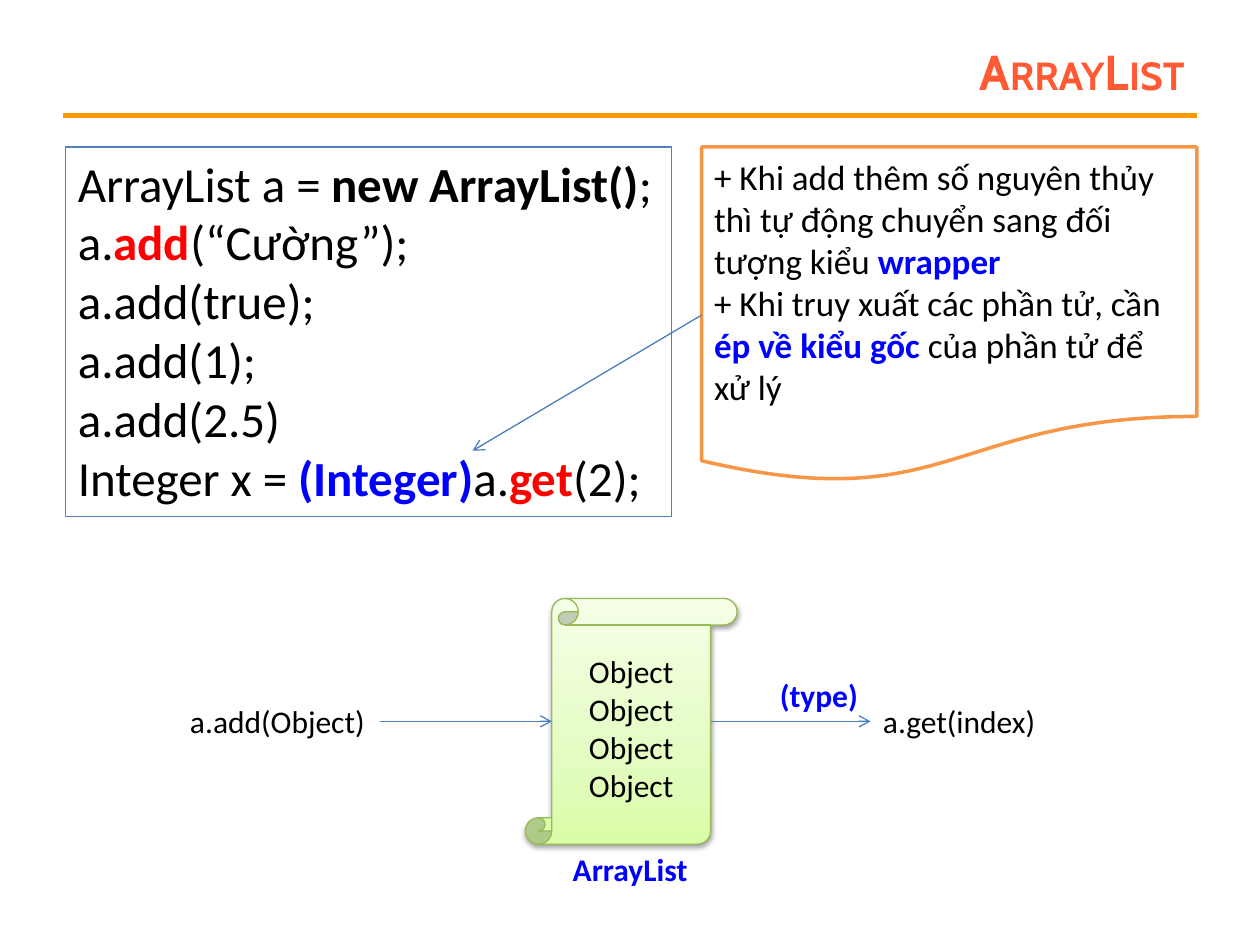
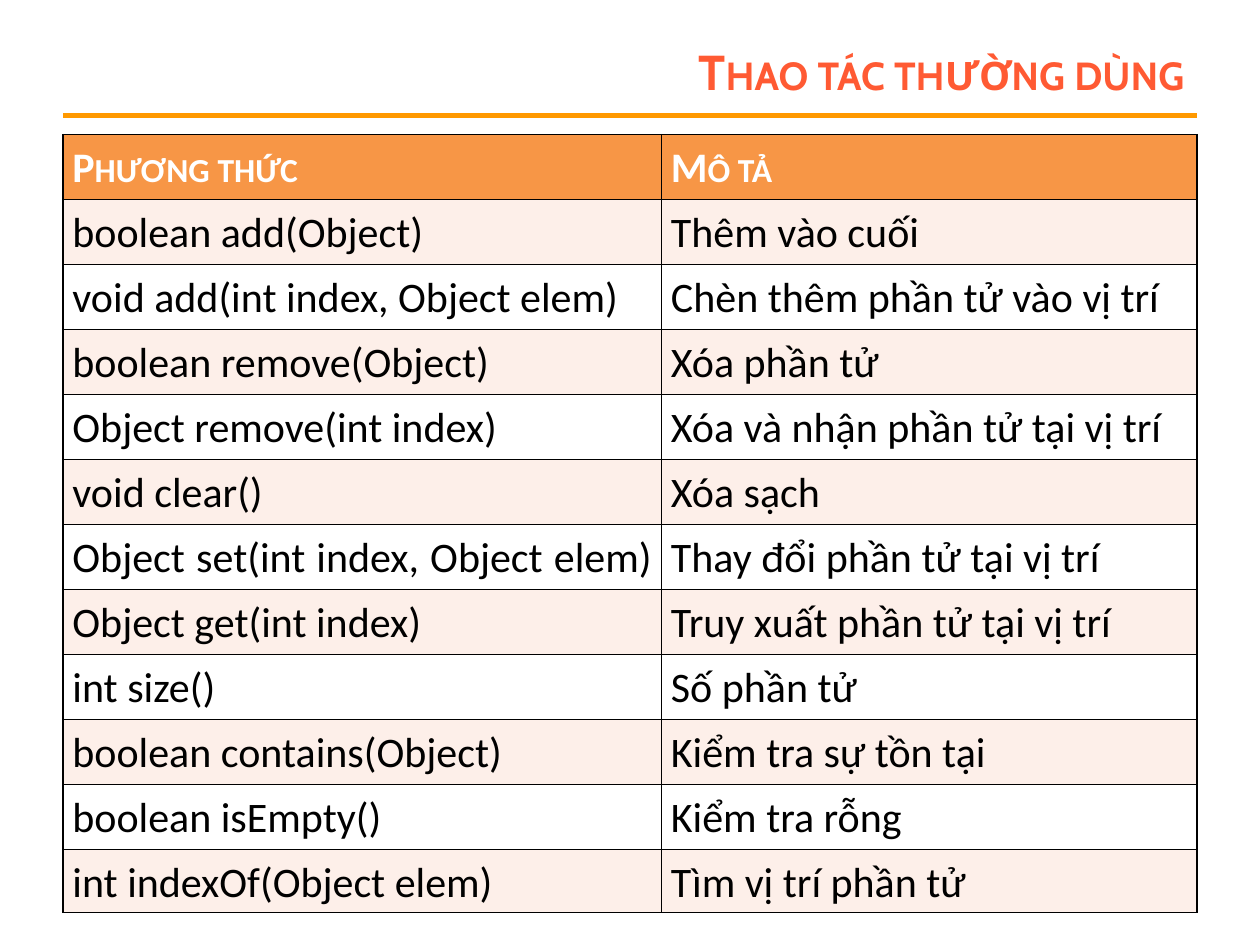
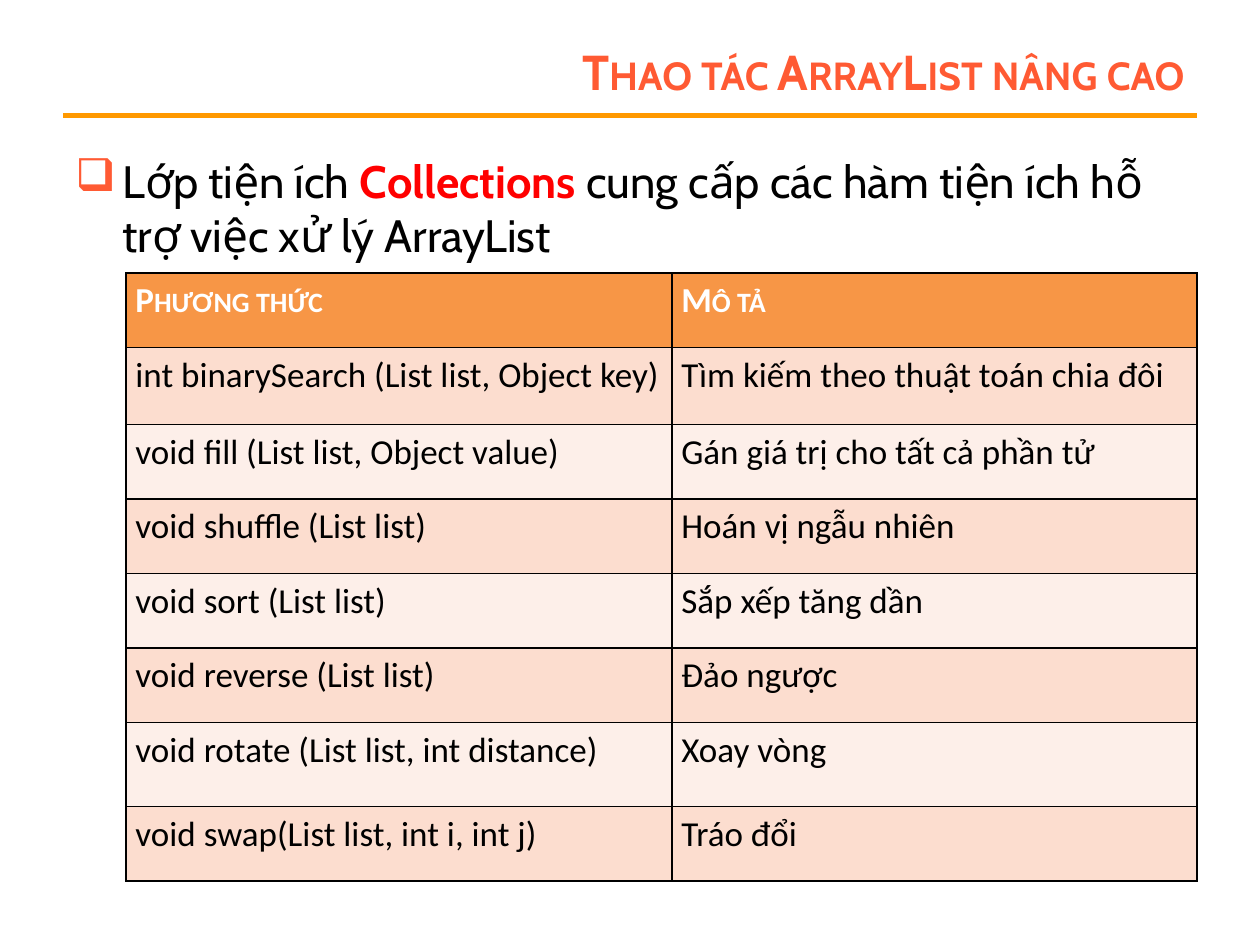
from copy import deepcopy

from lxml import etree
from pptx import Presentation
from pptx.dml.color import RGBColor
from pptx.enum.shapes import MSO_CONNECTOR, MSO_SHAPE
from pptx.enum.text import MSO_ANCHOR, PP_ALIGN
from pptx.oxml.ns import qn
from pptx.util import Pt

STRAIGHT = MSO_CONNECTOR.STRAIGHT
RECTANGLE = MSO_SHAPE.RECTANGLE
SCROLL = MSO_SHAPE.VERTICAL_SCROLL
DOCUMENT = MSO_SHAPE.FLOWCHART_DOCUMENT
TOP, MIDDLE = MSO_ANCHOR.TOP, MSO_ANCHOR.MIDDLE
LEFT, CENTER, RIGHT = PP_ALIGN.LEFT, PP_ALIGN.CENTER, PP_ALIGN.RIGHT
JUSTIFY = PP_ALIGN.JUSTIFY
LEFT_SIDE, RIGHT_SIDE = 1, 3

TITLE_FONT, TEXT_FONT = "Cabin", "Calibri"
BLACK, WHITE, RED, BLUE = "000000", "FFFFFF", "FF0000", "0000FF"
ACCENT, RULE, ORANGE = "FF5A33", "FF9900", "F79646"
CODE_BORDER, ARROW, SCROLL_BORDER = "4F81BD", "4B7EBC", "98B955"
SCROLL_GRADIENT = [(0, "DAFDA7"), (0.35, "E4FCC2"), (1, "F5FFE7")]
PALE, PEACH = "FDEFE9", "FCDDCF"

MARGIN, CONTENT_WIDTH = 36, 648
HEADINGS = ("Phương thức", "Mô tả")

CODE = [
    [("ArrayList a = ",), ("new ArrayList()", BLACK), (";",)],
    [("a.",), ("add", RED), ("(“Cường”);",)],
    [("a.add(true);",)],
    [("a.add(1);",)],
    [("a.add(2.5)",)],
    [("Integer x = ",), ("(Integer)", BLUE), ("a.",), ("get", RED), ("(2);",)],
]
NOTE = [
    [("+ Khi add thêm số nguyên thủy thì tự động chuyển sang đối tượng kiểu ",),
     ("wrapper", BLUE)],
    [("+ Khi truy xuất các phần tử, cần ",), ("ép về kiểu gốc ", BLUE),
     ("của phần tử để xử lý",)],
]
COLLECTIONS_INTRO = [
    [("Lớp tiện ích ",), ("Collections ", RED),
     ("cung cấp các hàm tiện ích hỗ trợ việc xử lý ArrayList",)],
]
LIST_METHODS = [
    ("boolean add(Object)", "Thêm vào cuối"),
    ("void add(int index, Object elem) ", "Chèn thêm phần tử vào vị trí"),
    ("boolean remove(Object)", "Xóa phần tử"),
    ("Object remove(int index) ", "Xóa và nhận phần tử tại vị trí"),
    ("void clear() ", "Xóa sạch"),
    ("Object set(int index, Object elem) ", "Thay đổi phần tử tại vị trí"),
    ("Object get(int index)", "Truy xuất phần tử tại vị trí"),
    ("int size()", "Số phần tử"),
    ("boolean contains(Object)", "Kiểm tra sự tồn tại"),
    ("boolean isEmpty()", "Kiểm tra rỗng"),
    ("int indexOf(Object elem)", "Tìm vị trí phần tử"),
]
COLLECTIONS_METHODS = [
    ("int binarySearch (List list, Object key)", "Tìm kiếm theo thuật toán chia đôi"),
    ("void fill (List list, Object value)", "Gán giá trị cho tất cả phần tử"),
    ("void shuffle (List list)", "Hoán vị ngẫu nhiên"),
    ("void sort (List list)", "Sắp xếp tăng dần"),
    ("void reverse (List list)", "Đảo ngược"),
    ("void rotate (List list, int distance)", "Xoay vòng"),
    ("void swap(List list, int i, int j)", "Tráo đổi"),
]


def rgb(value):
    return RGBColor.from_string(value)


def add_xml(parent, tag, **attributes):
    return etree.SubElement(parent, qn(tag), attributes)


def format_run(run, size, color=BLACK, bold=False, font=TEXT_FONT, small_caps=False):
    run.font.name, run.font.size, run.font.bold = font, Pt(size), bold
    run.font.color.rgb = rgb(color)
    if small_caps:
        run.font._element.set("cap", "small")


def write(shape, paragraphs, size, align=LEFT, anchor=TOP, wrap=True, font=TEXT_FONT):
    """Fill a shape with runs; a run that names a colour is emphasised."""
    frame = shape.text_frame
    frame.word_wrap, frame.vertical_anchor = wrap, anchor
    for index, parts in enumerate(paragraphs):
        paragraph = frame.add_paragraph() if index else frame.paragraphs[0]
        paragraph.alignment = align
        for text, *emphasis in parts:
            run = paragraph.add_run()
            run.text = text
            format_run(run, size, *emphasis, bold=bool(emphasis), font=font)


def add_text(slide, x, y, width, height, paragraphs, size, **options):
    box = slide.shapes.add_textbox(Pt(x), Pt(y), Pt(width), Pt(height))
    write(box, paragraphs, size, **options)
    return box


def add_outlined(slide, kind, x, y, width, height, border, weight):
    shape = slide.shapes.add_shape(kind, Pt(x), Pt(y), Pt(width), Pt(height))
    shape.shadow.inherit = False
    shape.fill.background()
    shape.line.color.rgb = rgb(border)
    shape.line.width = Pt(weight)
    return shape


def add_line(slide, x1, y1, x2, y2, color, weight, arrow=False):
    line = slide.shapes.add_connector(STRAIGHT, Pt(x1), Pt(y1), Pt(x2), Pt(y2))
    line.line.color.rgb = rgb(color)
    line.line.width = Pt(weight)
    if arrow:
        add_xml(line.line._get_or_add_ln(), "a:tailEnd", type="arrow")
    add_xml(line._element.spPr, "a:effectLst")
    return line


def add_titled_slide(prs, title):
    slide = prs.slides.add_slide(prs.slide_layouts[6])
    add_line(slide, MARGIN, 66, MARGIN + CONTENT_WIDTH, 66, RULE, 3)
    heading = add_text(slide, 162, 21.6, 522, 38, [[(title, ACCENT)]], 28,
                       align=RIGHT, anchor=MIDDLE, font=TITLE_FONT)
    heading.text_frame.paragraphs[0].runs[0].font._element.set("cap", "small")
    return slide


def add_code_and_note(slide, x, y):
    # Code listing
    code = add_outlined(slide, RECTANGLE, x, y, 346.3, 211, CODE_BORDER, 0.75)
    write(code, CODE, 28, wrap=False)

    # Explanation, with an arrow to the cast in the last line of code
    note = add_outlined(slide, DOCUMENT, x + 363.6, y, 283, 192, ORANGE, 2)
    note.fill.solid()
    note.fill.fore_color.rgb = rgb(WHITE)
    write(note, NOTE, 20, anchor=MIDDLE)
    arrow = add_line(slide, x + 363.6, y + 96, x + 232.6, y + 173.6, ARROW, 0.75, True)
    arrow.begin_connect(note, LEFT_SIDE)


def style_scroll(scroll):
    # Gradient from the bottom up
    scroll.fill.gradient()
    scroll.fill.gradient_angle = 90
    stops = scroll._element.spPr.find(".//" + qn("a:gsLst"))
    stops.append(deepcopy(stops[0]))
    for stop, (position, color) in zip(scroll.fill.gradient_stops, SCROLL_GRADIENT):
        stop.position = position
        stop.color.rgb = rgb(color)

    # Soft shadow below
    effects = scroll._element.spPr.find(qn("a:effectLst"))
    shadow = add_xml(effects, "a:outerShdw", blurRad=str(Pt(3.1)), dist=str(Pt(1.6)),
                     dir="5400000", rotWithShape="0")
    add_xml(add_xml(shadow, "a:srgbClr", val=BLACK), "a:alpha", val="38000")


def add_object_flow(slide, x, y):
    label_height, scroll_height = 29, 140.4
    axis = y + scroll_height / 2
    label_top = axis - label_height / 2

    # Container of objects
    scroll = add_outlined(slide, SCROLL, x + 198.7, y, 121, scroll_height,
                          SCROLL_BORDER, 0.75)
    style_scroll(scroll)
    write(scroll, [[("Object",)]] * 4, 18, align=CENTER, anchor=MIDDLE)

    # Labels
    def label(dx, top, width, *part):
        return add_text(slide, x + dx, top, width, label_height, [[part]], 18, wrap=False)

    adding = label(0, label_top, 115.6, "a.add(Object)")
    getting = label(396, label_top, 102, "a.get(index)")
    label(337, y + 41, 59.5, "(type)", BLUE)
    label(218.7, y + scroll_height, 81, "ArrayList", BLUE)

    # Arrows in and out of the body of the scroll
    inward = add_line(slide, x + 115.6, axis, x + 213.9, axis, ARROW, 0.75, True)
    inward.begin_connect(adding, RIGHT_SIDE)
    outward = add_line(slide, x + 304.6, axis, x + 396, axis, ARROW, 0.75, True)
    outward.end_connect(getting, LEFT_SIDE)


def style_cell(cell, text, size, fill, heading):
    cell.margin_left = cell.margin_right = Pt(5.4)
    cell.margin_top = cell.margin_bottom = 0
    properties = cell._tc.get_or_add_tcPr()
    for side in ("a:lnL", "a:lnR", "a:lnT", "a:lnB"):
        border = add_xml(properties, side, w=str(Pt(1)))
        add_xml(add_xml(border, "a:solidFill"), "a:srgbClr", val=BLACK)
    cell.fill.solid()
    cell.fill.fore_color.rgb = rgb(fill)

    paragraph = cell.text_frame.paragraphs[0]
    paragraph.text = text
    paragraph.alignment = JUSTIFY
    paragraph.line_spacing = 1.15
    paragraph.space_before = paragraph.space_after = Pt(6)
    format_run(paragraph.runs[0], size, WHITE if heading else BLACK, heading,
               small_caps=heading)


def add_method_table(slide, x, y, methods, widths, heights, size, bands):
    rows = [HEADINGS] + methods
    frame = slide.shapes.add_table(len(rows), len(widths), Pt(x), Pt(y),
                                   Pt(sum(widths)), Pt(sum(heights)))
    table = frame.table
    table.first_row = table.horz_banding = False
    for column, width in zip(table.columns, widths):
        column.width = Pt(width)
    for index, (row, texts) in enumerate(zip(table.rows, rows)):
        row.height = Pt(heights[index])
        heading = index == 0
        fill = ORANGE if heading else bands[(index - 1) % 2]
        for cell, text in zip(row.cells, texts):
            style_cell(cell, text, size, fill, heading)


def add_bulleted_intro(slide, x, y, width, height):
    intro = add_text(slide, x, y, width, height, COLLECTIONS_INTRO, 25.9, font=TITLE_FONT)
    properties = intro.text_frame.paragraphs[0]._p.get_or_add_pPr()
    properties.set("marL", str(Pt(27)))
    properties.set("indent", str(-Pt(27)))
    add_xml(add_xml(properties, "a:buClr"), "a:srgbClr", val=ACCENT)
    add_xml(properties, "a:buChar", char="❑")


def main():
    prs = Presentation()
    prs.slide_width, prs.slide_height = Pt(720), Pt(540)

    # ArrayList concept
    slide = add_titled_slide(prs, "ArrayList")
    add_code_and_note(slide, 37.4, 84)
    add_object_flow(slide, 101.5, 342)

    # Common operations
    slide = add_titled_slide(prs, "Thao tác thường dùng")
    add_method_table(slide, MARGIN, 77, LIST_METHODS, (342, 306),
                     [37.15] * 11 + [36], 24, (PALE, WHITE))

    # Collections helpers
    slide = add_titled_slide(prs, "Thao tác ArrayList nâng cao")
    add_bulleted_intro(slide, MARGIN, 84, CONTENT_WIDTH, 66)
    add_method_table(slide, 72, 156, COLLECTIONS_METHODS, (312, 300),
                     [42.6, 44] + [42.6] * 4 + [48, 42.6], 20, (PEACH, PALE))

    prs.save("out.pptx")


if __name__ == "__main__":
    main()
